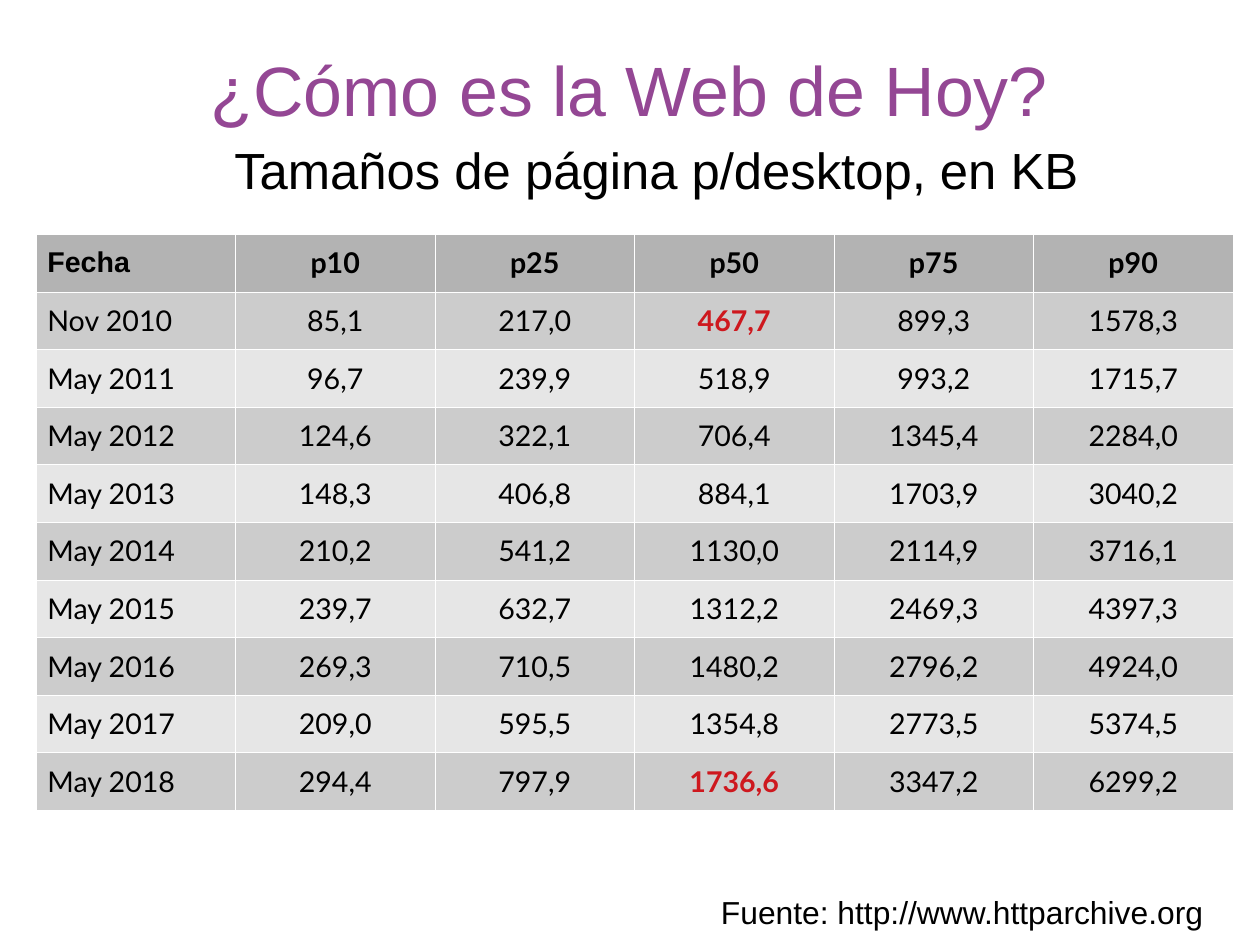
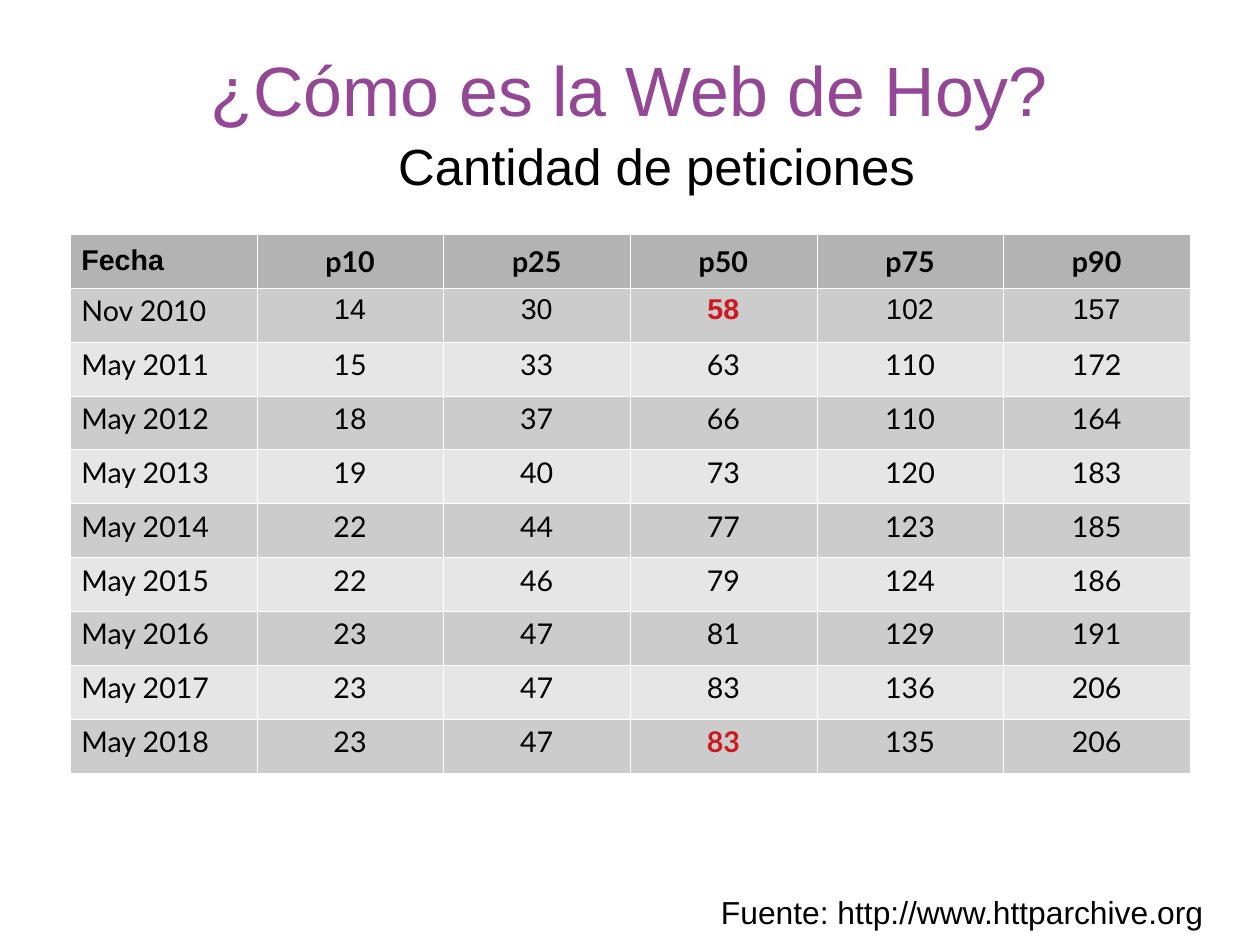
from lxml.etree import SubElement
from pptx import Presentation
from pptx.dml.color import RGBColor
from pptx.enum.text import MSO_ANCHOR, MSO_AUTO_SIZE, PP_ALIGN
from pptx.oxml.ns import qn
from pptx.util import Emu, Pt

# Content
TITLE = "¿Cómo es la Web de Hoy?"
SOURCE = "Fuente: http://www.httparchive.org"
HEADINGS = ["Fecha", "p10", "p25", "p50", "p75", "p90"]
DATES = ["Nov 2010"] + [f"May {year}" for year in range(2011, 2019)]
PAGE_SIZES = [
    ["85,1", "217,0", "467,7", "899,3", "1578,3"],
    ["96,7", "239,9", "518,9", "993,2", "1715,7"],
    ["124,6", "322,1", "706,4", "1345,4", "2284,0"],
    ["148,3", "406,8", "884,1", "1703,9", "3040,2"],
    ["210,2", "541,2", "1130,0", "2114,9", "3716,1"],
    ["239,7", "632,7", "1312,2", "2469,3", "4397,3"],
    ["269,3", "710,5", "1480,2", "2796,2", "4924,0"],
    ["209,0", "595,5", "1354,8", "2773,5", "5374,5"],
    ["294,4", "797,9", "1736,6", "3347,2", "6299,2"],
]
REQUESTS = [
    ["14", "30", "58", "102", "157"],
    ["15", "33", "63", "110", "172"],
    ["18", "37", "66", "110", "164"],
    ["19", "40", "73", "120", "183"],
    ["22", "44", "77", "123", "185"],
    ["22", "46", "79", "124", "186"],
    ["23", "47", "81", "129", "191"],
    ["23", "47", "83", "136", "206"],
    ["23", "47", "83", "135", "206"],
]
SLIDES = [
    {"subtitle": "Tamaños de página p/desktop, en KB", "subtitle_top": 139,
     "values": PAGE_SIZES, "table": (36, 234, 1197, 576),
     "anchor": MSO_ANCHOR.MIDDLE, "arial_rows": []},
    {"subtitle": "Cantidad de peticiones", "subtitle_top": 135,
     "values": REQUESTS, "table": (70, 234, 1120, 539),
     "anchor": MSO_ANCHOR.TOP, "arial_rows": [1]},
]

# Shared style
COLORS = {"title": "944794", "text": "000000", "accent": "CE181E", "border": "FFFFFF",
          "header": "B3B3B3", "odd": "CCCCCC", "even": "E6E6E6"}
PX = 8000
WIDTH, HEIGHT = 1260, 945
TITLE_BOX = (63, 10, 1134, 158)
SOURCE_BOX = (395, 887, 820, 47)
SUBTITLE_INDENT = 54
MEDIAN_COLUMN = HEADINGS.index("p50")


def place(shape, box):
    shape.left, shape.top, shape.width, shape.height = (Emu(n * PX) for n in box)


def write(para, text, size, color="text", font="Arial", align=PP_ALIGN.CENTER, bold=False):
    para.alignment = align
    span = para.add_run()
    span.text = text
    span.font.size = Pt(size)
    span.font.name = font
    span.font.bold = bold
    span.font.color.rgb = RGBColor.from_string(COLORS[color])


def fill_placeholder(shape, box, anchor):
    place(shape, box)
    frame = shape.text_frame
    frame.margin_left = frame.margin_right = frame.margin_top = frame.margin_bottom = 0
    frame.vertical_anchor = anchor
    frame.auto_size = MSO_AUTO_SIZE.NONE
    frame.word_wrap = True
    return frame.paragraphs[0]


def add_headings(page, subtitle, top):
    write(fill_placeholder(page.shapes.title, TITLE_BOX, MSO_ANCHOR.MIDDLE),
          TITLE, 44, "title")
    para = fill_placeholder(page.placeholders[1], (27, top, 1206, 153), MSO_ANCHOR.TOP)
    properties = para._p.get_or_add_pPr()
    properties.set("marL", str(SUBTITLE_INDENT * PX))
    properties.set("indent", "0")
    SubElement(properties, qn("a:buNone"))
    para.space_before = Pt(0)
    para.space_after = Pt(14.1)
    write(para, subtitle, 32)


def add_source(page):
    box = page.shapes.add_textbox(0, 0, 0, 0)
    place(box, SOURCE_BOX)
    box.text_frame.word_wrap = True
    write(box.text_frame.paragraphs[0], SOURCE, 20, align=PP_ALIGN.RIGHT)


def style_cell(cell, color):
    properties = cell._tc.get_or_add_tcPr()
    for side in ("a:lnL", "a:lnR", "a:lnT", "a:lnB"):
        line = SubElement(properties, qn(side), w="720")
        solid = SubElement(line, qn("a:solidFill"))
        SubElement(solid, qn("a:srgbClr"), val=COLORS["border"])
    cell.fill.solid()
    cell.fill.fore_color.rgb = RGBColor.from_string(COLORS[color])


def add_data_table(page, values, box, anchor, arial_rows):
    rows = [HEADINGS] + [[date] + numbers for date, numbers in zip(DATES, values)]
    left, top, width, height = (Emu(n * PX) for n in box)
    table = page.shapes.add_table(len(rows), len(HEADINGS), left, top, width, height).table
    table.first_row = table.horz_banding = False
    for column in table.columns:
        column.width = width // len(HEADINGS)
    for r, texts in enumerate(rows):
        table.rows[r].height = height // len(rows)
        is_header = r == 0
        band = "header" if is_header else "odd" if r % 2 else "even"
        for c, text in enumerate(texts):
            cell = table.cell(r, c)
            style_cell(cell, band)
            cell.vertical_anchor = MSO_ANCHOR.MIDDLE if is_header else anchor
            # The first and last medians stand out
            accent = c == MEDIAN_COLUMN and r in (1, len(rows) - 1)
            arial = (r, c) == (0, 0) or (r in arial_rows and c > 0)
            write(cell.text_frame.paragraphs[0], text, 18,
                  "accent" if accent else "text",
                  "Arial" if arial else "Lato",
                  PP_ALIGN.CENTER if c else PP_ALIGN.LEFT,
                  is_header or accent)


def main():
    deck = Presentation()
    deck.slide_width, deck.slide_height = Emu(WIDTH * PX), Emu(HEIGHT * PX)
    for content in SLIDES:
        page = deck.slides.add_slide(deck.slide_layouts[1])
        add_headings(page, content["subtitle"], content["subtitle_top"])
        add_source(page)
        add_data_table(page, content["values"], content["table"],
                       content["anchor"], content["arial_rows"])
    deck.save("out.pptx")


if __name__ == "__main__":
    main()
